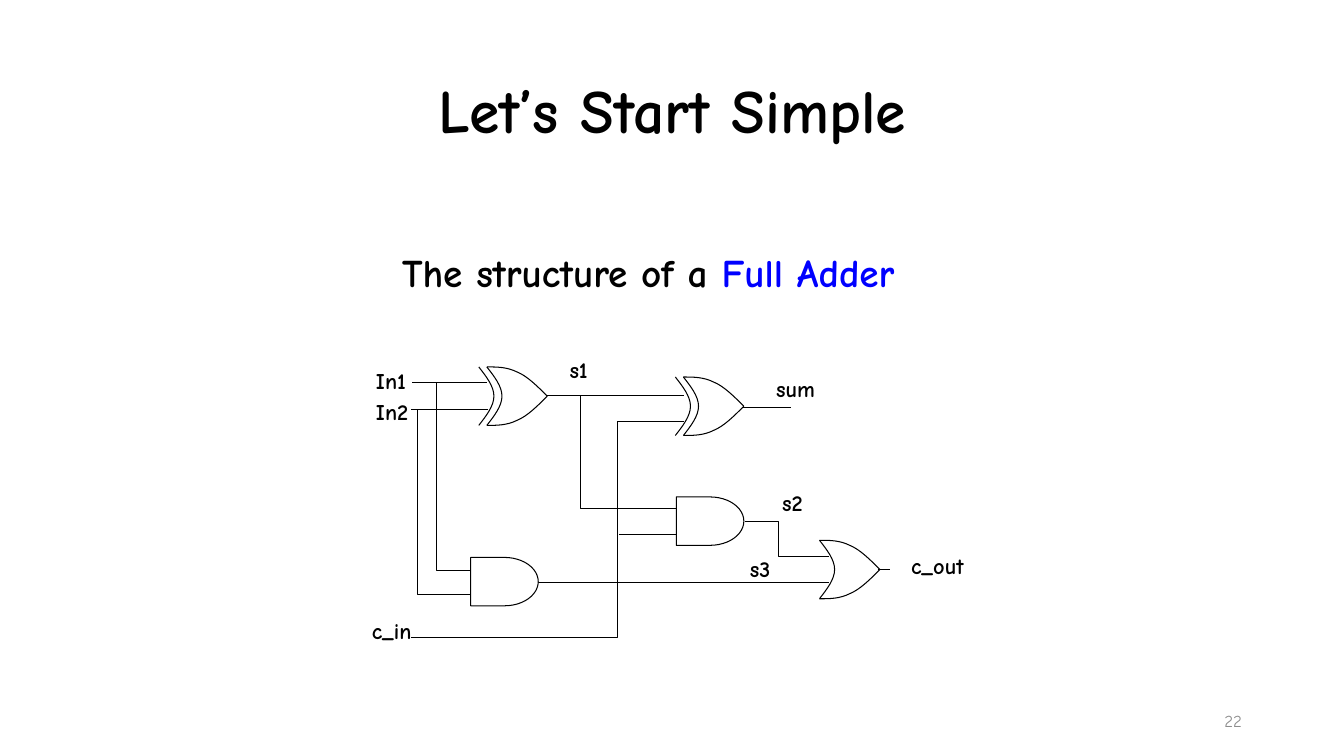
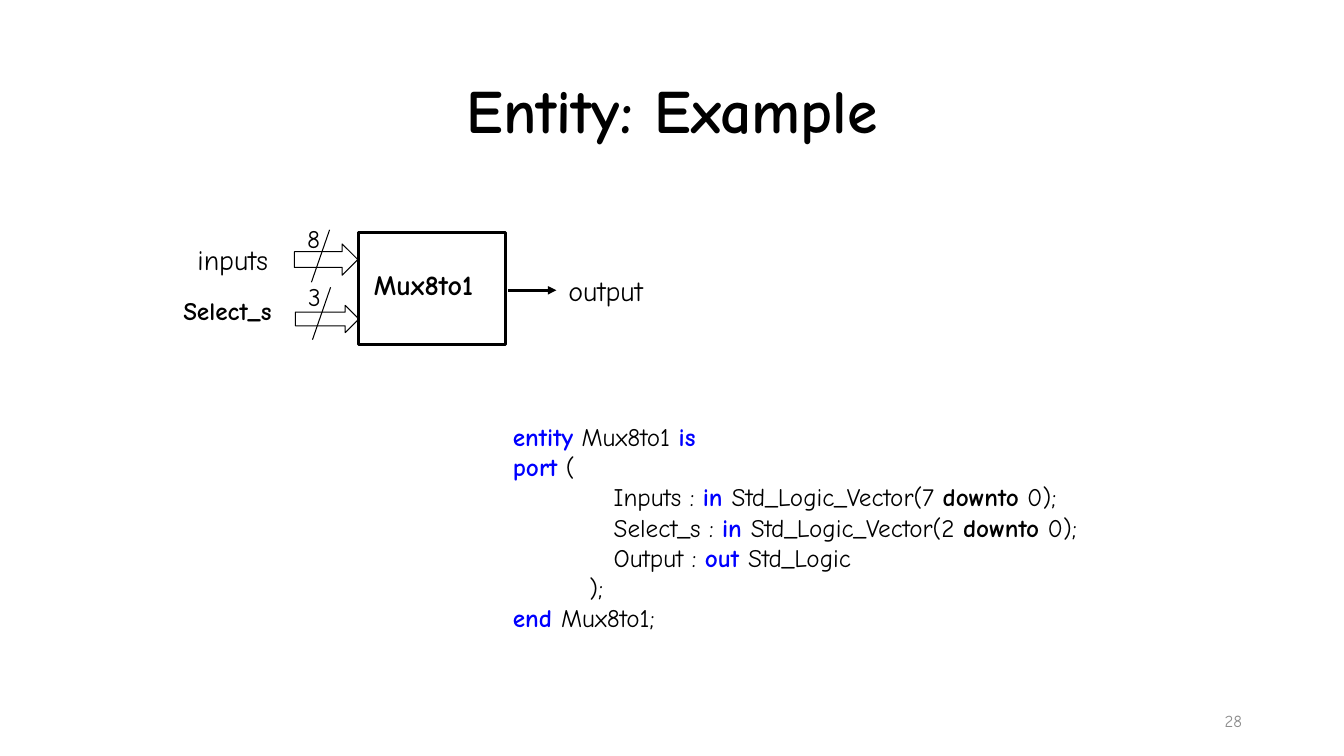
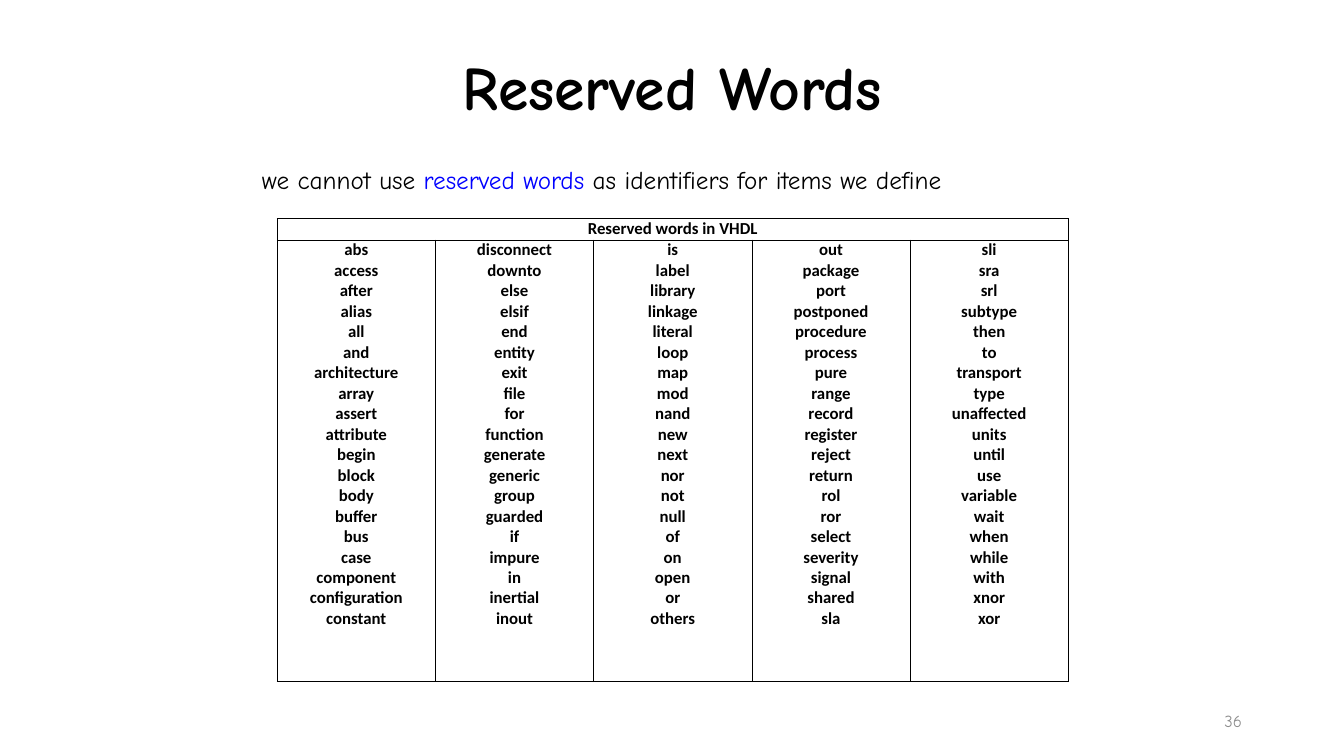
from pptx import Presentation
from pptx.dml.color import RGBColor
from pptx.enum.shapes import MSO_CONNECTOR, MSO_SHAPE
from pptx.enum.text import MSO_ANCHOR, PP_ALIGN
from pptx.oxml.ns import qn
from pptx.util import Inches, Pt
from lxml.etree import SubElement

HUES = {"ink": "000000", "key": "0000FF", "dim": "8C8C8C", "paper": "FFFFFF"}
FACE = "Comic Neue"
TITLE = {"size": Pt(44), "bold": True}
HEAD = {"size": Pt(28), "bold": True}
LABEL = {"size": Pt(16), "bold": True}
PORT = {"size": Pt(20), "bold": False}
BLOCK = {"size": Pt(20), "bold": True}
BODY = {"size": Pt(18), "bold": False}
STRONG = {"size": Pt(18), "bold": True}
FOOT = {"size": Pt(12), "bold": False}
CELL = {"size": Pt(12), "bold": True, "name": "Calibri"}
SIDES = ("margin_left", "margin_right", "margin_top", "margin_bottom")

STOPS = (0.76, 1)
CODE = [
    [("entity", "key", True), (" Mux8to1 ", "ink", False), ("is", "key", True)],
    [("port", "key", True), (" (", "ink", False)],
    [("\t\tInputs : ", "ink", False), ("in ", "key", True),
     ("Std_Logic_Vector(7 ", "ink", False), ("downto", "ink", True),
     (" 0);", "ink", False)],
    [("\t\tSelect_s : ", "ink", False), ("in ", "key", True),
     ("Std_Logic_Vector(2 ", "ink", False), ("downto", "ink", True),
     (" 0);", "ink", False)],
    [("\t\tOutput : ", "ink", False), ("out ", "key", True),
     ("Std_Logic", "ink", False)],
    [("\t);", "ink", False)],
    [("end ", "key", True), ("Mux8to1;", "ink", False)],
]

WORDS = [
    "abs access after alias all and architecture array assert attribute begin "
    "block body buffer bus case component configuration constant",
    "disconnect downto else elsif end entity exit file for function generate "
    "generic group guarded if impure in inertial inout",
    "is label library linkage literal loop map mod nand new next nor not null "
    "of on open or others",
    "out package port postponed procedure process pure range record register "
    "reject return rol ror select severity signal shared sla",
    "sli sra srl subtype then to transport type unaffected units until use "
    "variable wait when while with xnor xor",
]


def tint(hue):
    return RGBColor.from_string(HUES[hue])


def put(para, text, style, hue="ink"):
    run = para.add_run()
    run.text = text
    for key, value in ({"name": FACE} | style).items():
        setattr(run.font, key, value)
    run.font.color.rgb = tint(hue)


def text_box(slide, box, runs, style, wrap=True, inset=None,
             align=PP_ALIGN.LEFT, anchor=MSO_ANCHOR.TOP):
    frame = slide.shapes.add_textbox(*map(Inches, box)).text_frame
    frame.word_wrap = wrap
    frame.vertical_anchor = anchor
    if inset is not None:
        for side in SIDES:
            setattr(frame, side, Inches(inset))
    para = frame.paragraphs[0]
    para.alignment = align
    for text, hue in runs:
        put(para, text, style, hue)
    return para


def ink_line(shape, width):
    shape.line.color.rgb = tint("ink")
    shape.line.width = Pt(width)


def paint(shape, width, fill=None):
    shape.shadow.inherit = False
    ink_line(shape, width)
    if fill:
        shape.fill.solid()
        shape.fill.fore_color.rgb = tint(fill)
    else:
        shape.fill.background()


def preset(slide, kind, box, width, fill=None):
    paint(slide.shapes.add_shape(kind, *map(Inches, box)), width, fill)


def trace(host, points, width, fill=None):
    spots = [(Inches(x), Inches(y)) for x, y in points]
    pen = host.shapes.build_freeform(*spots[0])
    pen.add_line_segments(spots[1:], close=False)
    shape = pen.convert_to_shape()
    paint(shape, width, fill)
    return shape


def bend(shape):
    steps = list(shape._element.iter(qn("a:lnTo")))
    for first in range(0, len(steps), 3):
        arc = SubElement(steps[first].getparent(), qn("a:cubicBezTo"))
        for step in steps[first:first + 3]:
            arc.append(step[0])
            step.getparent().remove(step)


def line(slide, start, end, width, arrow=False):
    wire = slide.shapes.add_connector(
        MSO_CONNECTOR.STRAIGHT, *map(Inches, (*start, *end)))
    ink_line(wire, width)
    if arrow:
        SubElement(wire.line._get_or_add_ln(), qn("a:tailEnd"), type="triangle")
    SubElement(wire._element.spPr, qn("a:effectLst"))


def gate(slide, left, top, fill=None, twin=False):
    high = 0.58
    back = [(0, 0), (0.07, 0.09), (0.15, 0.19), (0.15, 0.29),
            (0.15, 0.39), (0.07, 0.49), (0, high)]
    roof = [(0, 0), (0.1, 0), (0.2, 0), (0.3, 0.05),
            (0.4, 0.09), (0.5, 0.19), (0.6, 0.29)]
    floor = [(x, high - y) for x, y in roof]
    arcs = [back, roof, floor]
    if twin:
        arcs.append([(x - 0.08, y) for x, y in back])
    group = slide.shapes.add_group_shape()
    for arc in arcs:
        bend(trace(group, [(left + x, top + y) for x, y in arc], 0.75, fill))


def page(deck, title, number, height=1.45):
    slide = deck.slides.add_slide(deck.slide_layouts[6])
    para = text_box(slide, (0.92, 0.4, 11.5, height), [(title, "ink")], TITLE,
                    align=PP_ALIGN.CENTER, anchor=MSO_ANCHOR.MIDDLE)
    para.line_spacing = 0.9
    text_box(slide, (9.42, 6.95, 3, 0.4), [(str(number), "dim")], FOOT,
             align=PP_ALIGN.RIGHT, anchor=MSO_ANCHOR.MIDDLE)
    return slide


def adder(slide, left, top):
    def at(x, y):
        return left + x, top + y

    gate(slide, *at(4.43, 1.86), fill="paper")
    labels = [("In1", 0.03, 0.14, 0.38), ("In2", 0.03, 0.45, 0.38),
              ("c_in", -0.01, 2.62, 0.44), ("c_out", 5.34, 1.98, 0.6),
              ("sum", 4, 0.22, 0.4), ("s1", 1.95, 0.03, 0.25),
              ("s2", 4.06, 1.35, 0.25), ("s3", 3.74, 2.01, 0.25)]
    for name, x, y, wide in labels:
        text_box(slide, (*at(x, y), wide, 0.27), [(name, "ink")], LABEL,
                 wrap=False, inset=0)
    wires = [
        [(1.72, 0.42), (3.09, 0.42)],
        [(0.38, 2.82), (2.43, 2.82), (2.43, 0.68), (3.09, 0.68)],
        [(3.05, 1.8), (2.44, 1.8)],
        [(3.04, 1.54), (2.06, 1.54), (2.06, 0.42)],
        [(1.62, 2.28), (4.52, 2.28)],
        [(3.69, 1.67), (4.02, 1.67), (4.02, 2.02), (4.52, 2.02)],
        [(1.13, 0.29), (0.39, 0.29)],
        [(1.14, 0.56), (0.38, 0.56)],
        [(0.44, 0.56), (0.44, 2.4), (0.99, 2.4)],
        [(0.63, 0.29), (0.63, 2.16), (0.99, 2.16)],
        [(3.66, 0.54), (4.15, 0.54)],
        [(5.01, 2.15), (5.13, 2.15)],
    ]
    for wire in wires:
        spots = [at(*spot) for spot in wire]
        if len(spots) == 2:
            line(slide, *spots, 0.5)
        else:
            trace(slide, spots, 0.5)
    for spot in ((0.97, 2.03), (3.01, 1.43)):
        preset(slide, MSO_SHAPE.FLOWCHART_DELAY, (*at(*spot), 0.67, 0.48),
               0.75, "paper")
    for spot in ((1.13, 0.14), (3.08, 0.24)):
        gate(slide, *at(*spot), twin=True)


def mux(slide, left, top, wide, high):
    preset(slide, MSO_SHAPE.RECTANGLE, (left, top, wide, high), 2)
    line(slide, (left + wide + 0.02, top + 0.57),
         (left + wide + 0.5, top + 0.57), 2, arrow=True)
    labels = [("inputs", -1.7, 0.05, 0.99, PORT),
              ("Select_s", -1.84, 0.57, 1.26, STRONG),
              ("output", 1.98, 0.35, 1.05, PORT),
              ("Mux8to1", 0.05, 0.29, 1.38, BLOCK)]
    for name, x, y, size, style in labels:
        text_box(slide, (left + x, top + y, size, 0.43), [(name, "ink")], style)
    buses = [("8", -0.64, 0.11, 0.31, -0.03), ("3", -0.63, 0.72, 0.27, 0.54)]
    for count, x, y, tall, slash in buses:
        preset(slide, MSO_SHAPE.RIGHT_ARROW,
               (left + x, top + y, 0.63, tall), 0.75)
        line(slide, (left + x + 0.35, top + slash),
             (left + x + 0.17, top + slash + 0.52), 0.75)
        text_box(slide, (left + x + 0.03, top + slash - 0.11, 0.36, 0.4),
                 [(count, "ink")], BODY)


def code(slide, box):
    para = text_box(slide, box, [], BODY)
    tabs = SubElement(para._p.get_or_add_pPr(), qn("a:tabLst"))
    for stop in STOPS:
        SubElement(tabs, qn("a:tab"), pos=str(Inches(stop)), algn="l")
    for row, runs in enumerate(CODE):
        if row:
            para.add_line_break()
        for text, hue, bold in runs:
            put(para, text, STRONG if bold else BODY, hue)


def edge(cell):
    props = cell._tc.get_or_add_tcPr()
    for spot, side in enumerate(("lnL", "lnR", "lnT", "lnB")):
        rule = SubElement(props, qn("a:" + side), w=str(Pt(0.5)))
        fill = SubElement(rule, qn("a:solidFill"))
        SubElement(fill, qn("a:srgbClr"), val=HUES["ink"])
        props.insert(spot, rule)


def fill_cell(cell, words):
    frame = cell.text_frame
    for row, word in enumerate(words):
        para = frame.add_paragraph() if row else frame.paragraphs[0]
        para.alignment = PP_ALIGN.CENTER
        put(para, word, CELL)


def word_grid(slide, box):
    grid = slide.shapes.add_table(2, len(WORDS), *map(Inches, box)).table
    grid.first_row = grid.horz_banding = False
    for row, high in zip(grid.rows, (0.21, box[3] - 0.21)):
        row.height = Inches(high)
    for cell in grid.iter_cells():
        for side, inset in zip(SIDES, (0.05, 0.05, 0, 0)):
            setattr(cell, side, Inches(inset))
        cell.fill.background()
        edge(cell)
    grid.cell(0, 0).merge(grid.cell(0, len(WORDS) - 1))
    fill_cell(grid.cell(0, 0), ["Reserved words in VHDL"])
    for spot, words in enumerate(WORDS):
        fill_cell(grid.cell(1, spot), words.split())


deck = Presentation()
deck.slide_width, deck.slide_height = Inches(40) // 3, Inches(7.5)

first = page(deck, "Let\u2019s Start Simple", 22)
adder(first, 3.7, 3.5)
text_box(first, (3.89, 2.41, 5.98, 0.57),
         [("The structure of a ", "ink"), ("Full Adder", "key")], HEAD)

second = page(deck, "Entity: Example", 28)
mux(second, 3.56, 2.31, 1.46, 1.11)
code(second, (4.99, 4.13, 6.93, 2.22))

third = page(deck, "Reserved Words", 36, 0.99)
word_grid(third, (2.75, 2.17, 7.85, 4.59))
text_box(third, (2.5, 1.58, 8.42, 0.4),
         [("we cannot use ", "ink"), ("reserved words ", "key"),
          ("as identifiers for items we define", "ink")], BODY)

deck.save("out.pptx")
